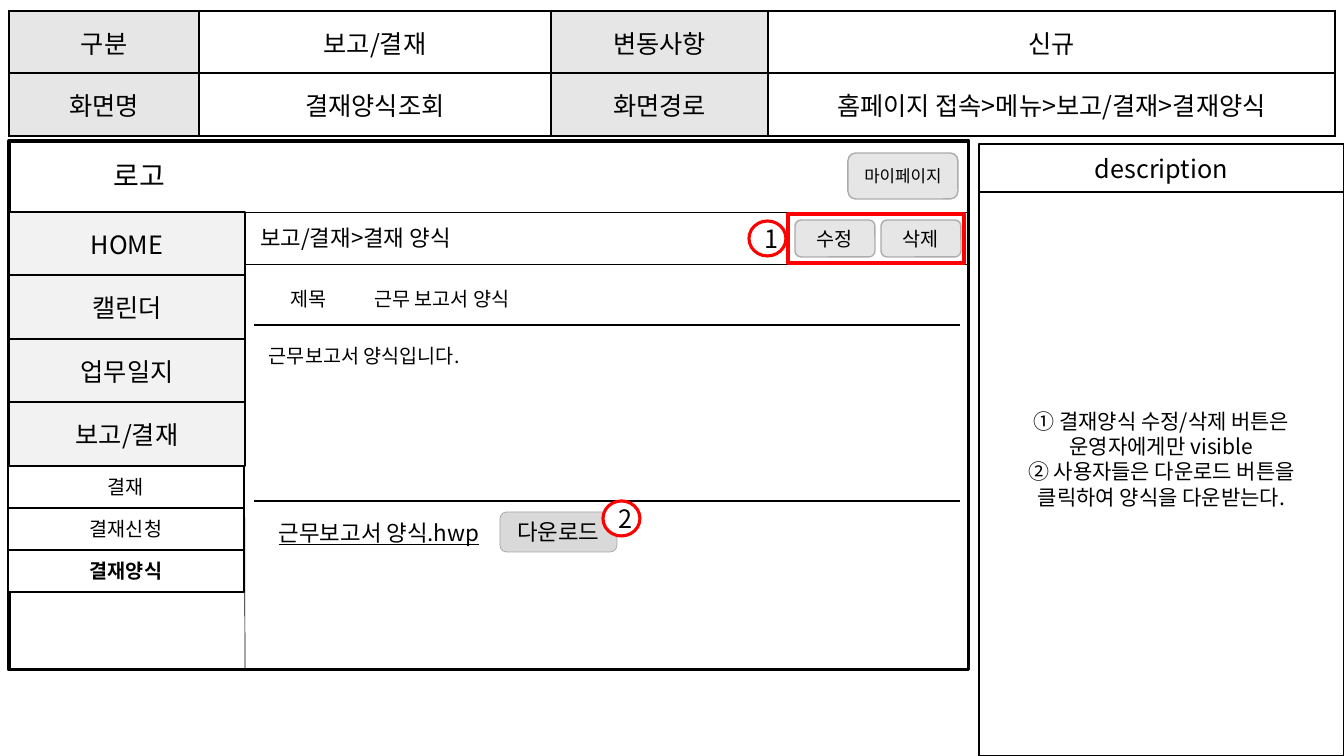
from lxml import etree
from pptx import Presentation
from pptx.dml.color import RGBColor
from pptx.enum.shapes import MSO_CONNECTOR, MSO_SHAPE
from pptx.enum.text import MSO_ANCHOR, PP_ALIGN
from pptx.oxml.ns import qn
from pptx.util import Pt

SCALE = 914400 / 100.8
FONT = "Noto Sans CJK KR"
BLACK, WHITE, RED = "000000", "FFFFFF", "FF0000"
GRAY, PALE, EDGE = "E7E6E6", "F2F2F2", "AFABAB"
RECT, ROUND, OVAL = MSO_SHAPE.RECTANGLE, MSO_SHAPE.ROUNDED_RECTANGLE, MSO_SHAPE.OVAL
STRAIGHT = MSO_CONNECTOR.STRAIGHT
LEFT, CENTER = PP_ALIGN.LEFT, PP_ALIGN.CENTER
TOP, MIDDLE = MSO_ANCHOR.TOP, MSO_ANCHOR.MIDDLE


def px(*nums):
    """Turn pixels into a list of EMU lengths."""
    return [round(num * SCALE) for num in nums]


def color(code):
    """Turn a hex string into a colour."""
    return RGBColor.from_string(code)


def write(frame, text, size, align=CENTER, bold=None, under=None):
    """Write each line of the text as a paragraph with one run."""
    for i, line in enumerate(text.split("\n")):
        para = frame.add_paragraph() if i else frame.paragraphs[0]
        para.alignment = align
        run = para.add_run()
        run.text = line
        font = run.font
        font.name, font.size, font.bold, font.underline = FONT, Pt(size), bold, under
        font.color.rgb = color(BLACK)
        east = etree.SubElement(run._r.get_or_add_rPr(), qn("a:ea"))
        east.set("typeface", FONT)


def box(slide, area, text="", size=18, kind=RECT, fill=WHITE, line=BLACK,
        width=1, **style):
    """Add a preset shape with centred text; fill None leaves it clear."""
    shape = slide.shapes.add_shape(kind, *px(*area))
    shape.shadow.inherit = False
    if fill:
        shape.fill.solid()
        shape.fill.fore_color.rgb = color(fill)
    else:
        shape.fill.background()
    shape.line.color.rgb = color(line)
    shape.line.width = Pt(width)
    frame = shape.text_frame
    frame.word_wrap = True
    frame.vertical_anchor = MIDDLE
    if text:
        write(frame, text, size, **style)
    return shape


def button(slide, area, text, size, fill=GRAY, line=EDGE, width=1):
    """Add a rounded button."""
    box(slide, area, text, size, ROUND, fill, line, width)


def badge(slide, left, top, text):
    """Add a numbered red circle."""
    box(slide, (left, top, 37, 35), text, kind=OVAL, line=RED, width=2.25)


def label(slide, area, text, size, under=None):
    """Add a plain text box."""
    frame = slide.shapes.add_textbox(*px(*area)).text_frame
    frame.word_wrap = True
    write(frame, text, size, LEFT, under=under)


def rule(slide, *ends):
    """Add a thin black line."""
    line = slide.shapes.add_connector(STRAIGHT, *px(*ends))
    line.line.color.rgb = color(BLACK)
    line.line.width = Pt(0.5)
    etree.SubElement(line._element.spPr, qn("a:effectLst"))


def grid(slide, left, top, cols, rows):
    """Add a table without style bands and return it."""
    area = px(left, top, sum(cols), sum(rows))
    table = slide.shapes.add_table(len(rows), len(cols), *area).table
    table.first_row = table.horz_banding = False
    for col, wide in zip(table.columns, px(*cols)):
        col.width = wide
    for row, high in zip(table.rows, px(*rows)):
        row.height = high
    return table


def dress(cell, sides, fill=None):
    """Draw black borders on the named sides of a cell and fill it."""
    props = cell._tc.get_or_add_tcPr()
    for side in "LRTB":
        edge = etree.SubElement(props, qn("a:ln" + side), w=str(Pt(1)))
        if side in sides:
            paint = etree.SubElement(edge, qn("a:solidFill"))
            etree.SubElement(paint, qn("a:srgbClr"), val=BLACK)
        else:
            etree.SubElement(edge, qn("a:noFill"))
    if fill:
        cell.fill.solid()
        cell.fill.fore_color.rgb = color(fill)
    else:
        cell.fill.background()
    cell.vertical_anchor = MIDDLE


def header(slide):
    """Add the table that names the screen."""
    rows = [("구분", "보고/결재", "변동사항", "신규"),
            ("화면명", "결재양식조회", "화면경로", "홈페이지 접속>메뉴>보고/결재>결재양식")]
    table = grid(slide, 9, 11, (190, 352, 217, 567), (62, 63))
    for r, row in enumerate(rows):
        for c, text in enumerate(row):
            cell = table.cell(r, c)
            dress(cell, "LRTB", None if c % 2 else GRAY)
            write(cell.text_frame, text, 18)


def menu(slide):
    """Add the side menu and its sub-items."""
    for i, text in enumerate(("HOME", "캘린더", "업무일지", "보고/결재")):
        box(slide, (9, round(212 + 63.4 * i), 236, 64), text, fill=PALE)
    for i, text in enumerate(("결재", "결재신청", "결재양식")):
        box(slide, (8, 466 + 42 * i, 236, 42), text, 14, bold=i == 2)


def notes(slide):
    """Add the description panel."""
    text = ("① 결재양식 수정/삭제 버튼은 운영자에게만 visible\n"
            "② 사용자들은 다운로드 버튼을 클릭하여 양식을 다운받는다.")
    panel = box(slide, (979, 192, 365, 564), text, 15)
    panel.text_frame.margin_bottom, = px(35)
    box(slide, (979, 144, 365, 48), "description")
    rule(slide, 979, 192, 1344, 192)


def detail(slide):
    """Add the table with the title and body of the form."""
    table = grid(slide, 254, 271, (110, 596), (54, 176, 64))
    for r, sides in enumerate(("B", "TB", "T")):
        for c in range(2):
            dress(table.cell(r, c), sides)
    for r in (1, 2):
        table.cell(r, 0).merge(table.cell(r, 1))
    write(table.cell(0, 0).text_frame, "제목", 14)
    write(table.cell(0, 1).text_frame, "근무 보고서 양식", 14, LEFT)
    body = table.cell(1, 0)
    body.vertical_anchor = TOP
    body.margin_left, body.margin_top = px(15, 16)
    write(body.text_frame, "근무보고서 양식입니다.", 14, LEFT)


def main():
    """Build the screen plan and save it."""
    deck = Presentation()
    deck.slide_width, deck.slide_height = px(1344, 756)
    slide = deck.slides.add_slide(deck.slide_layouts[6])

    box(slide, (9, 141, 960, 529), fill=None, width=2.25)
    trail = box(slide, (245, 211, 700, 53), "보고/결재>결재 양식", 16,
                line=WHITE, align=LEFT)
    trail.text_frame.margin_left, = px(15)
    header(slide)
    rule(slide, 244, 212, 245, 670)
    label(slide, (104, 154, 83, 44), "로고", 20)
    notes(slide)
    rule(slide, 245, 264, 969, 264)
    rule(slide, 244, 212, 968, 212)
    menu(slide)

    button(slide, (848, 153, 110, 46), "마이페이지", 12)
    for i, text in enumerate(("수정", "삭제")):
        button(slide, (795 + 86 * i, 220, 80, 37), text, 14)
    badge(slide, 749, 221, "1")
    detail(slide)
    label(slide, (269, 514, 335, 37), "근무보고서 양식.hwp", 16, under=True)
    button(slide, (500, 512, 117, 40), "다운로드", 16, "D9D9D9", "A5A5A5", 0.5)
    box(slide, (788, 214, 176, 49), fill=None, line=RED, width=2.25)
    badge(slide, 603, 501, "2")
    deck.save("out.pptx")


main()
